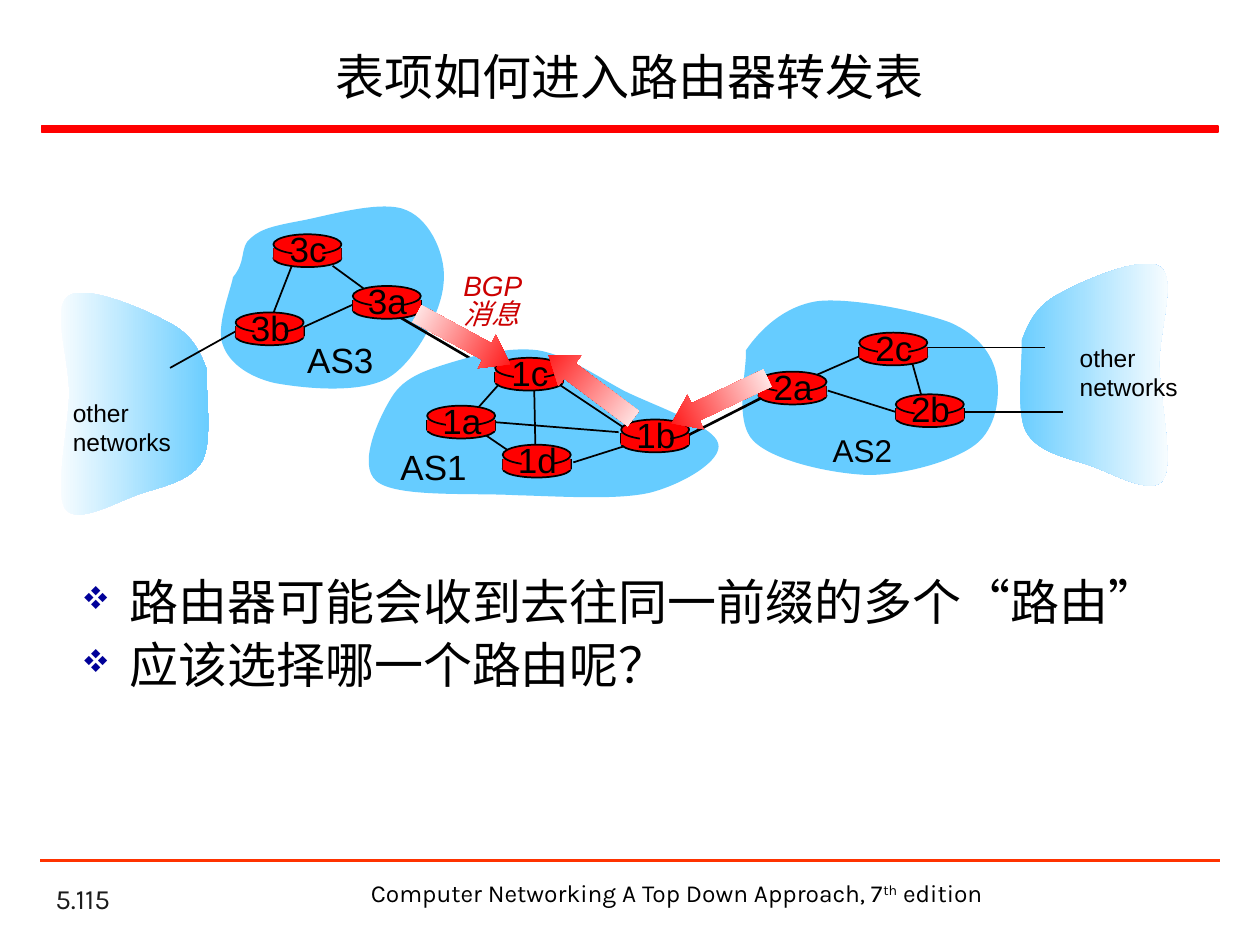
from lxml import etree
from pptx import Presentation
from pptx.dml.color import RGBColor
from pptx.enum.shapes import MSO_CONNECTOR, MSO_SHAPE
from pptx.enum.text import MSO_ANCHOR, MSO_AUTO_SIZE, PP_ALIGN
from pptx.oxml.ns import qn
from pptx.util import Inches, Pt

STRAIGHT = MSO_CONNECTOR.STRAIGHT
RECT, OVAL, ARROW = MSO_SHAPE.RECTANGLE, MSO_SHAPE.OVAL, MSO_SHAPE.LEFT_ARROW
LEFT, CENTER = PP_ALIGN.LEFT, PP_ALIGN.CENTER
TOP, MIDDLE, BOTTOM = MSO_ANCHOR.TOP, MSO_ANCHOR.MIDDLE, MSO_ANCHOR.BOTTOM
FIXED, GROW = MSO_AUTO_SIZE.NONE, MSO_AUTO_SIZE.SHAPE_TO_FIT_TEXT

BLACK = RGBColor(0x00, 0x00, 0x00)
WHITE = RGBColor(0xFF, 0xFF, 0xFF)
RED = RGBColor(0xFF, 0x00, 0x00)
ORANGE = RGBColor(0xFF, 0x33, 0x00)
CRIMSON = RGBColor(0xCC, 0x00, 0x00)
SKY = RGBColor(0x66, 0xCC, 0xFF)
GRAY = RGBColor(0x1C, 0x1C, 0x1C)
NAVY = RGBColor(0x00, 0x00, 0x99)

OTHER = [(8.11, 2.7), (8.17, 2.54), (8.24, 2.41), (8.43, 2.32), (8.61, 2.22),
         (9.08, 2.02), (9.21, 2.12), (9.34, 2.21), (9.2, 2.62), (9.2, 2.9),
         (9.21, 3.19), (9.32, 3.68), (9.23, 3.81), (9.14, 3.94), (8.82, 3.75),
         (8.64, 3.69), (8.46, 3.63), (8.23, 3.59), (8.14, 3.42), (8.06, 3.26),
         (8.12, 2.85), (8.11, 2.7)]
AS1 = [(3.11, 3.15), (3.21, 2.99), (3.38, 2.94), (3.57, 2.88), (3.77, 2.82),
       (4.04, 2.75), (4.27, 2.78), (4.5, 2.82), (4.71, 2.97), (4.95, 3.1),
       (5.19, 3.22), (5.67, 3.38), (5.7, 3.52), (5.74, 3.65), (5.43, 3.84),
       (5.16, 3.91), (4.9, 3.97), (4.46, 3.94), (4.09, 3.93), (3.73, 3.91),
       (3.15, 3.95), (2.99, 3.82), (2.83, 3.69), (3.01, 3.31), (3.11, 3.15)]
AS2 = [(5.92, 2.78), (6.03, 2.62), (6.22, 2.43), (6.49, 2.39), (6.76, 2.36),
       (7.3, 2.47), (7.54, 2.56), (7.77, 2.66), (7.88, 2.82), (7.91, 2.98),
       (7.94, 3.14), (7.91, 3.4), (7.74, 3.53), (7.57, 3.66), (7.18, 3.77),
       (6.89, 3.77), (6.6, 3.76), (6.14, 3.66), (5.98, 3.5), (5.82, 3.34),
       (5.93, 2.93), (5.92, 2.78)]
AS3 = [(1.85, 2.2), (1.96, 2.07), (1.9, 1.96), (1.99, 1.89), (2.08, 1.81),
       (2.19, 1.79), (2.4, 1.75), (2.61, 1.71), (3.04, 1.58), (3.23, 1.67),
       (3.42, 1.75), (3.55, 2.04), (3.52, 2.26), (3.5, 2.48), (3.3, 2.87),
       (3.08, 3), (2.85, 3.13), (2.4, 3.08), (2.18, 3.04), (1.97, 2.99),
       (1.82, 2.88), (1.77, 2.74), (1.71, 2.6), (1.83, 2.31), (1.85, 2.2)]

LINKS = [(2.4, 2.6, 2.84, 2.4, 1), (2.9, 2.3, 2.64, 2.11, 1), (2.32, 2.1, 2.16, 2.51, 1),
         (3.96, 3.05, 3.8, 3.23, 1), (4.24, 3.09, 4.25, 3.59, 1),
         (4.42, 3.04, 4.96, 3.4, 1), (4.96, 3.54, 4.55, 3.67, 1),
         (4.91, 3.43, 3.92, 3.35, 1), (3.82, 3.43, 4.04, 3.58, 1),
         (6.38, 3.02, 6.86, 2.81, 1), (6.57, 3.1, 7.11, 3.27, 1),
         (7.24, 2.88, 7.31, 3.13, 1), (7.35, 2.76, 8.29, 2.76, 0.75),
         (7.63, 3.27, 8.44, 3.27, 0.75), (1.87, 2.63, 1.35, 2.92, 1),
         (5.47, 3.45, 6.04, 3.16, 1.5)]
ROUTERS = {"3b": (1.87, 2.48), "3c": (2.17, 1.86), "3a": (2.8, 2.27),
           "1c": (3.93, 2.84), "1a": (3.39, 3.22), "1d": (3.99, 3.53),
           "1b": (4.93, 3.33), "2a": (6.02, 2.95), "2c": (6.82, 2.64),
           "2b": (7.11, 3.13)}
ARROWS = [(3.26, 2.54, 208.5), (5.29, 3.03, 334.7), (4.27, 2.92, 36.9)]
POINTS = ["路由器可能会收到去往同一前缀的多个“路由”", "应该选择哪一个路由呢？"]


def paint(s, colors, line=None):
    """Fill a shape with one colour or a two-colour gradient and set its line."""
    s.shadow.inherit = False
    if len(colors) == 1:
        s.fill.solid()
        s.fill.fore_color.rgb = colors[0]
    else:
        s.fill.gradient()
        s.fill.gradient_angle = 0
        for stop, color in zip(s.fill.gradient_stops, colors):
            stop.color.rgb = color
    if line is None:
        s.line.fill.background()
    else:
        s.line.color.rgb = line
        s.line.width = Pt(1)


def add_shape(shapes, kind, box, colors, line=None):
    """Add a painted preset shape."""
    s = shapes.add_shape(kind, *map(Inches, box))
    paint(s, colors, line)
    return s


def add_line(shapes, x1, y1, x2, y2, width=1, color=BLACK):
    """Add a straight connector."""
    s = shapes.add_connector(STRAIGHT, *map(Inches, (x1, y1, x2, y2)))
    s.line.color.rgb = color
    s.line.width = Pt(width)
    etree.SubElement(s._element.spPr, qn("a:effectLst"))


def add_cloud(shapes, points, colors):
    """Add a closed outline of cubic curves, three points to a curve."""
    builder = shapes.build_freeform(*map(Inches, points[0]))
    builder.add_line_segments([tuple(map(Inches, p)) for p in points[1:]], close=True)
    s = builder.convert_to_shape()
    segments = list(s._element.iter(qn("a:lnTo")))
    for i in range(0, len(points) - 1, 3):
        curve = etree.Element(qn("a:cubicBezTo"))
        segments[i].addprevious(curve)
        for segment in segments[i:i + 3]:
            curve.append(segment[0])
            segment.getparent().remove(segment)
    paint(s, colors)


def add_text(shapes, box, lines, size, font="Arial", color=BLACK, align=LEFT,
             anchor=TOP, wrap=False, italic=False, spacing=None):
    """Add a text box with one paragraph per line."""
    tf = shapes.add_textbox(*map(Inches, box)).text_frame
    frame = {"word_wrap": wrap, "vertical_anchor": anchor,
             "auto_size": FIXED if wrap else GROW}
    for name, value in frame.items():
        setattr(tf, name, value)
    tf.text = "\n".join(lines)
    for p in tf.paragraphs:
        p.alignment = align
        p.line_spacing = spacing
        for r in p.runs:
            style_run(r, size, font, color, italic)
    return tf


def style_run(r, size, font, color, italic=False):
    """Apply the character format of a run."""
    for name, value in {"size": Pt(size), "name": font, "italic": italic}.items():
        setattr(r.font, name, value)
    r.font.color.rgb = color


def add_router(shapes, name, x, y):
    """Add a labelled router drum whose top disc starts at x, y."""
    add_shape(shapes, OVAL, (x, y + 0.12, 0.54, 0.14), [RED], BLACK)
    for side in (x, x + 0.54):
        add_line(shapes, side, y + 0.11, side, y + 0.19)
    add_shape(shapes, RECT, (x, y + 0.11, 0.54, 0.09), [RED])
    add_shape(shapes, OVAL, (x, y, 0.54, 0.16), [RED], BLACK)
    add_shape(shapes, RECT, (x + 0.15, y + 0.02, 0.24, 0.21), [RED])
    add_text(shapes, (x + 0.02, y - 0.1, 0.51, 0.44), [name], 20, align=CENTER)


def add_arrow(shapes, x, y, angle):
    """Add a rotated message arrow that fades towards its tail."""
    s = add_shape(shapes, ARROW, (x, y, 0.84, 0.3), [RED, WHITE])
    s.adjustments[0], s.adjustments[1] = 0.5, 0.7
    s.rotation = angle


def add_bullets(shapes, box, lines):
    """Add the bulleted list."""
    tf = add_text(shapes, box, lines, 28, wrap=True, spacing=0.9)
    for i, p in enumerate(tf.paragraphs):
        if i:
            p.space_before = Pt(5.6)
        pPr = p._p.get_or_add_pPr()
        pPr.set("marL", str(Inches(0.38)))
        pPr.set("indent", str(Inches(-0.38)))
        color = etree.SubElement(pPr, qn("a:buClr"))
        etree.SubElement(color, qn("a:srgbClr"), val=str(NAVY))
        etree.SubElement(pPr, qn("a:buSzPct"), val="65000")
        etree.SubElement(pPr, qn("a:buFont"), typeface="Wingdings", charset="2")
        etree.SubElement(pPr, qn("a:buChar"), char="v")


def add_frame(shapes):
    """Add the title, rules and footer."""
    add_text(shapes, (0.34, 6.98, 2.08, 0.33), ["5.115"], 16, "Karla", GRAY,
             anchor=BOTTOM, wrap=True)
    add_shape(shapes, RECT, (0.33, 1, 9.34, 0.05), [RED], RED)
    add_line(shapes, 0.32, 6.83, 9.68, 6.83, 1.5, ORANGE)
    tf = add_text(shapes, (2.83, 6.92, 5.08, 0.34),
                  ["Computer Networking A Top Down Approach, 7"], 14, "Karla",
                  align=CENTER, wrap=True)
    for text, baseline in (("th", "30000"), (" edition", "0")):
        r = tf.paragraphs[0].add_run()
        r.text = text
        style_run(r, 14, "Karla", BLACK)
        r._r.get_or_add_rPr().set("baseline", baseline)
    add_text(shapes, (0.37, 0.25, 9.25, 0.7), ["表项如何进入路由器转发表"], 28, "Karla",
             align=CENTER, anchor=MIDDLE, wrap=True)


def add_network(shapes):
    """Add the autonomous systems with their routers, links and messages."""
    mirrored = [(9.75 - x, y + 0.23) for x, y in OTHER]
    add_cloud(shapes, OTHER, [SKY, WHITE])
    add_cloud(shapes, mirrored, [WHITE, SKY])
    add_cloud(shapes, AS2, [SKY])
    add_cloud(shapes, AS3, [SKY])
    add_line(shapes, 3.16, 2.51, 3.93, 2.96, 1.5)
    add_cloud(shapes, AS1, [SKY])
    for name, box, size in (("AS3", (2.34, 2.64, 0.73, 0.44), 20),
                            ("AS2", (6.51, 3.37, 0.68, 0.4), 18),
                            ("AS1", (3.08, 3.49, 0.73, 0.44), 20)):
        add_text(shapes, box, [name], size)
    for link in LINKS:
        add_line(shapes, *link)
    for name, (x, y) in ROUTERS.items():
        add_router(shapes, name, x, y)
    for x, y in ((8.47, 2.67), (0.48, 3.11)):
        add_text(shapes, (x, y, 0.99, 0.57), ["other", "networks"], 14)
    for arrow in ARROWS:
        add_arrow(shapes, *arrow)
    add_text(shapes, (3.58, 2.12, 0.73, 0.56), ["BGP", "消息"], 16, color=CRIMSON,
             italic=True, spacing=0.85)


def main():
    """Build and save the slide."""
    prs = Presentation()
    prs.slide_width, prs.slide_height = Inches(10), Inches(7.5)
    shapes = prs.slides.add_slide(prs.slide_layouts[6]).shapes
    add_frame(shapes)
    add_network(shapes)
    add_bullets(shapes, (0.55, 4.54, 8.75, 1.36), POINTS)
    prs.save("out.pptx")


if __name__ == "__main__":
    main()
